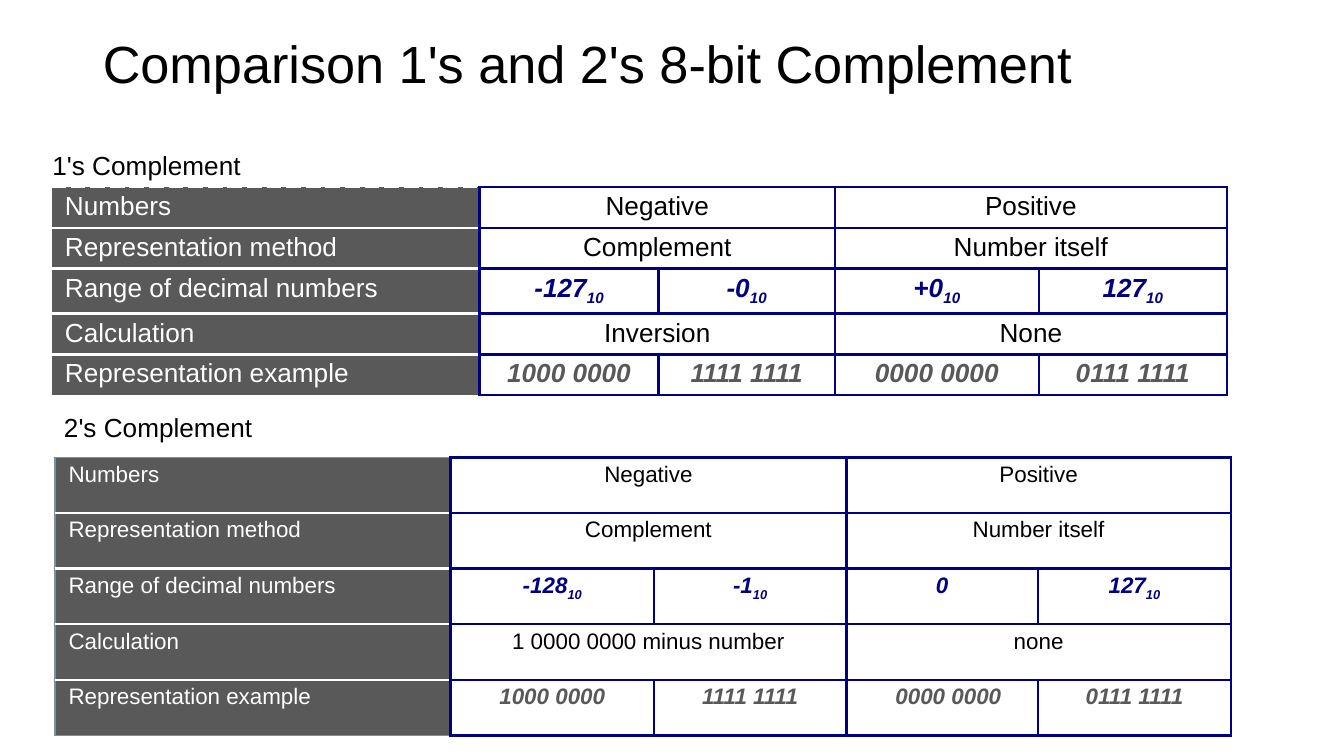
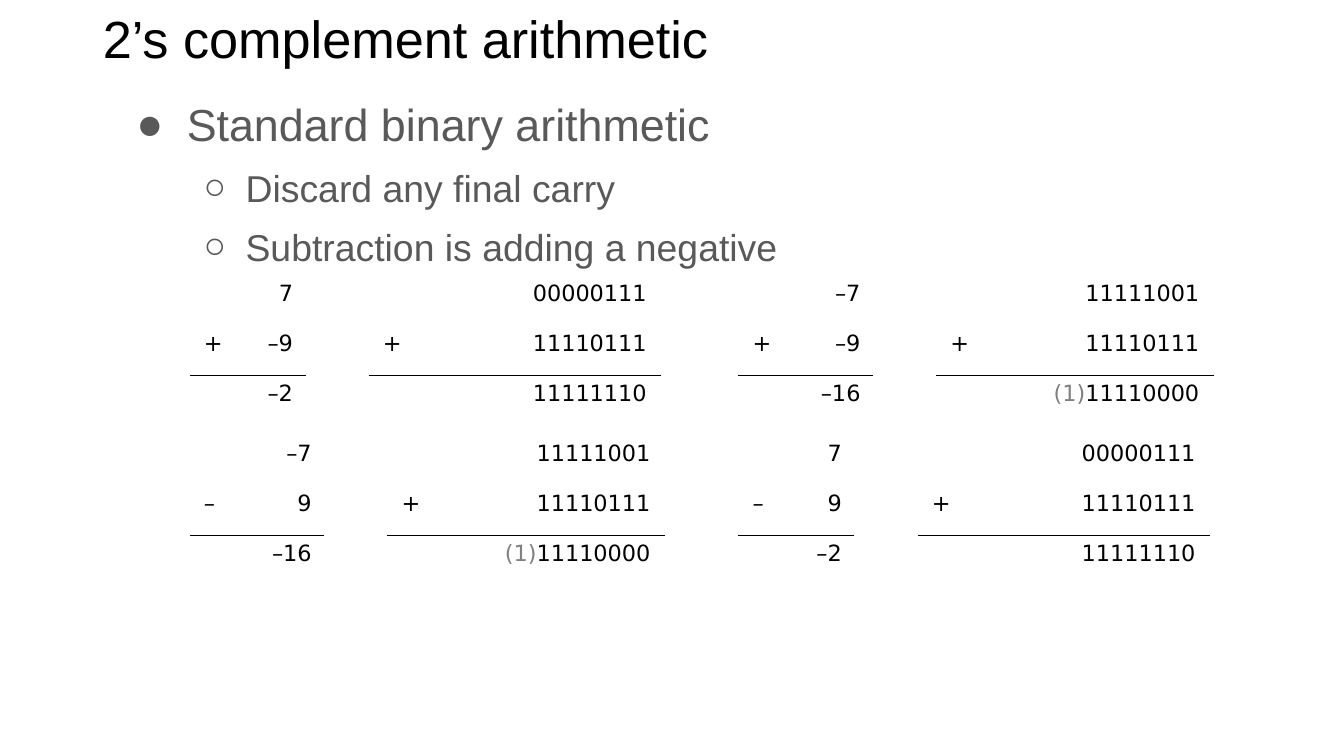
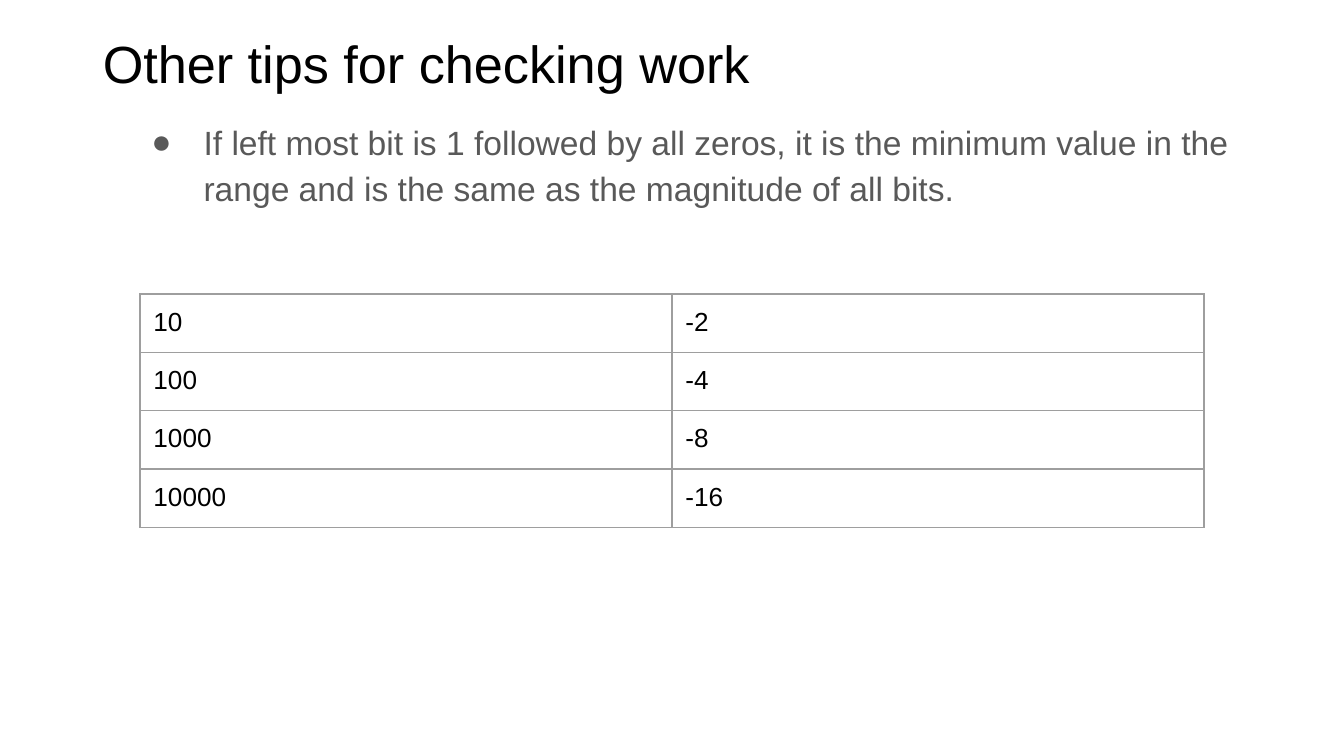
"""Builds three slides about one's and two's complement arithmetic."""
from pptx import Presentation
from pptx import util as u
from pptx.dml import color as dml
from pptx.enum import text as t
from pptx.oxml import ns
from lxml import etree

COLOURS = {
    "black": "000000", "white": "FFFFFF", "gray": "595959", "carry": "808080",
    "navy": "000080", "slate": "78909C", "rule": "9E9E9E",
}
SIDES = {"l": "lnL", "r": "lnR", "t": "lnT", "b": "lnB"}
ALIGN = {"l": t.PP_ALIGN.LEFT, "c": t.PP_ALIGN.CENTER, "r": t.PP_ALIGN.RIGHT}
ARIAL = {"name": "Arial", "colour": "black"}
MONO = {"name": "DejaVu Sans", "size": 12, "colour": "black"}
NAVY_LINE = ("navy", 1.5, "solid")
WHITE_LINE = ("white", 1.5, "solid")
GRAY_LINE = ("rule", 0.75, "solid")
RULE_LINE = ("black", 1, "solid")


def child(parent, tag, **attributes):
    """Append a DrawingML element."""
    return etree.SubElement(parent, ns.qn("a:" + tag), attributes)


def rgb(name):
    """Look up a colour by its name."""
    return dml.RGBColor.from_string(COLOURS[name])


def write_runs(paragraph, runs, base):
    """Add (text, format) runs on top of a base format."""
    for words, changes in runs:
        run = paragraph.add_run()
        run.text = words
        values = {**base, **changes}
        run.font.color.rgb = rgb(values.pop("colour"))
        values["size"] = u.Pt(values["size"])
        if values.pop("subscript", False):
            run._r.get_or_add_rPr().set("baseline", "-25000")
        for name, value in values.items():
            setattr(run.font, name, value)


def add_text_frame(slide, left, top, width, height, inset, anchor=t.MSO_ANCHOR.TOP):
    """Add a wrapping text box and return its frame."""
    shape = slide.shapes.add_textbox(u.Pt(left), u.Pt(top), u.Pt(width), u.Pt(height))
    frame = shape.text_frame
    values = {
        "word_wrap": True, "vertical_anchor": anchor,
        "margin_left": u.Pt(7.2), "margin_right": u.Pt(7.2),
        "margin_top": u.Pt(inset), "margin_bottom": u.Pt(inset),
    }
    for name, value in values.items():
        setattr(frame, name, value)
    return frame


def add_title(slide, words, top=13.5, height=40.5):
    """Add the slide title."""
    frame = add_text_frame(slide, 48, top, 648, height, 3.6, t.MSO_ANCHOR.BOTTOM)
    write_runs(frame.paragraphs[0], [(words, {})], {**ARIAL, "size": 28})


def add_caption(slide, words, left, top):
    """Add the caption above a table."""
    frame = add_text_frame(slide, left, top, 271, 31.5, 7.2)
    write_runs(frame.paragraphs[0], [(words, {})], {**ARIAL, "size": 14})


def add_bullets(slide, top, height, items):
    """Add bullets given as (text, size, indent, hanging, space before, level)."""
    frame = add_text_frame(slide, 66, top, 612, height, 3.6)
    for index, (words, size, indent, hanging, before, level) in enumerate(items):
        paragraph = frame.add_paragraph() if index else frame.paragraphs[0]
        values = {"level": level, "line_spacing": 1.15, "space_before": u.Pt(before)}
        for name, value in values.items():
            setattr(paragraph, name, value)
        properties = paragraph._p.get_or_add_pPr()
        properties.set("marL", str(u.Pt(indent)))
        properties.set("indent", str(u.Pt(-hanging)))
        child(child(properties, "buClr"), "srgbClr", val=COLOURS["gray"])
        child(properties, "buFont", typeface="Arial")
        child(properties, "buChar", char="●○"[level])
        write_runs(paragraph, [(words, {})], {**ARIAL, "size": size, "colour": "gray"})


def draw_edges(cell, edges):
    """Draw cell borders from a dict of side to (colour, width, dash)."""
    properties = cell._tc.get_or_add_tcPr()
    for side, tag in SIDES.items():
        if side in edges:
            colour, width, dash = edges[side]
            line = child(properties, tag, w=str(u.Pt(width)))
            child(child(line, "solidFill"), "srgbClr", val=COLOURS[colour])
            child(line, "prstDash", val=dash)


def fill_cell(cell, content, base, inset, blank_size):
    """Give a cell its borders, fill, margins and text."""
    draw_edges(cell, content.get("edges", {}))
    if "fill" in content:
        cell.fill.solid()
        cell.fill.fore_color.rgb = rgb(content["fill"])
    else:
        cell.fill.background()
    margins = {
        "margin_left": 7.2 + content.get("shift", 0), "margin_right": 7.2,
        "margin_top": inset, "margin_bottom": inset,
    }
    for name, value in margins.items():
        setattr(cell, name, u.Pt(value))
    paragraph = cell.text_frame.paragraphs[0]
    if content.get("runs"):
        paragraph.alignment = ALIGN[content.get("align", "l")]
        write_runs(paragraph, content["runs"], base)
    else:
        ending = child(paragraph._p, "endParaRPr", sz=str(blank_size * 100))
        child(ending, "latin", typeface="Arial")


def add_table(slide, left, top, widths, heights, rows, base, inset=2.5, blank_size=12):
    """Add a table from rows of cell dicts."""
    shape = slide.shapes.add_table(
        len(rows), len(widths), u.Pt(left), u.Pt(top), u.Pt(sum(widths)), u.Pt(sum(heights)))
    table = shape.table
    table.first_row = table.horz_banding = False
    for column, width in zip(table.columns, widths):
        column.width = u.Pt(width)
    for row, height in zip(table.rows, heights):
        row.height = u.Pt(height)
    for r, row in enumerate(rows):
        for c, content in enumerate(row):
            fill_cell(table.cell(r, c), content, base, inset, blank_size)
            if content.get("wide"):
                table.cell(r, c).merge(table.cell(r, c + 1))


def complement_rows(columns, outer, right):
    """Build the five rows of a complement table."""
    labels = ["Numbers", "Representation method", "Range of decimal numbers",
              "Calculation", "Representation example"]
    strong = {"bold": True, "italic": True}
    rows = []
    for index, (label, values) in enumerate(zip(labels, columns)):
        edges = {"l": outer, "r": NAVY_LINE,
                 "t": WHITE_LINE if index else outer,
                 "b": WHITE_LINE if index < len(labels) - 1 else outer}
        row = [{"runs": [(label, {"colour": "white"})], "fill": "gray", "edges": edges}]
        wide = len(values) == 2
        for position, value in enumerate(values):
            last = position == len(values) - 1
            edges = {**dict.fromkeys(SIDES, NAVY_LINE), "r": right if last else NAVY_LINE}
            look = {} if wide else {**strong, "colour": "gray" if index == 4 else "navy"}
            number, mark, radix = value.partition("_")
            runs = [(number, look)]
            if mark:
                runs.append((radix, {**look, "subscript": True}))
            row.append({"runs": runs, "align": "c", "edges": edges, "wide": wide})
            if wide:
                row.append({"edges": edges})
        rows.append(row)
    return rows


def sum_rows(first, operator, second):
    """Build the decimal and eight-bit binary working of one sum."""
    added = second if operator == "+" else -second
    total = (first & 255) + (added & 255)
    below, above = {"b": RULE_LINE}, {"t": RULE_LINE}

    def entry(words, edges, align="r", prefix=""):
        """Build one cell of the working."""
        runs = [(prefix, {"colour": "carry"})] if prefix else []
        return {"runs": runs + [(words, {})], "align": align, "edges": edges}

    def decimal(value):
        """Write a number with a long minus sign."""
        return str(value).replace("-", "–")

    def binary(value):
        """Write a number in eight bits."""
        return f"{value & 255:08b}"

    return [
        [{}, entry(decimal(first), {}), {}, {}, entry(binary(first), {})],
        [entry(operator, below, "l"), entry(decimal(second), below), {},
         entry("+", below, "l"), entry(binary(added), below)],
        [{"edges": above}, entry(decimal(first + added), above), {}, {"edges": above},
         entry(binary(total), above, prefix="(1)" if total > 255 else "")],
    ]


def build_comparison(slide):
    """Compare the two complements in tables."""
    add_title(slide, "Comparison 1's and 2's 8-bit Complement")
    kinds = [["Negative", "Positive"], ["Complement", "Number itself"]]
    examples = ["1000 0000", "1111 1111", "0000 0000", "0111 1111"]
    twos = complement_rows(
        kinds + [["-128_10", "-1_10", "0", "127_10"],
                 ["1 0000 0000 minus number", "none"], examples],
        ("slate", 0.75, "solid"), ("navy", 1, "solid"))
    twos[4][3]["shift"] = 6.7
    add_table(slide, 29.5, 245, [211.9, 109, 103, 102.7, 103.4], [29.8] * 5, twos,
              {**ARIAL, "size": 12})
    ones = complement_rows(
        kinds + [["-127_10", "-0_10", "+0_10", "127_10"], ["Inversion", "None"], examples],
        ("white", 0.75, "dash"), NAVY_LINE)
    add_table(slide, 27.6, 100.3, [229.4, 95.7, 94.6, 109.2, 100.8], [10.8] * 5, ones,
              {**ARIAL, "size": 14})
    add_caption(slide, "1's Complement", 21, 72.8)
    add_caption(slide, "2's Complement", 27.2, 213.2)


def build_arithmetic(slide):
    """Show four worked sums."""
    add_title(slide, "2’s complement arithmetic", 10, 30.5)
    add_bullets(slide, 44, 236, [
        ("Standard binary arithmetic", 24, 27, 27, 0, 0),
        ("Discard any final carry", 20, 58.5, 22.5, 4, 1),
        ("Subtraction is adding a negative", 20, 58.5, 22.5, 4, 1),
    ])
    narrow, wide = [27.4, 34.8, 33.8, 27.4, 128.4], [27.4, 44.8, 33.8, 27.4, 120.4]
    left, right, upper, lower = 102, 396, 148, 233.7
    sums = [
        (left, lower, wide, 37.5, (-7, "–", 9)),
        (left, upper, narrow, 20.2, (7, "+", -9)),
        (right, upper, wide, 20.2, (-7, "+", -9)),
        (right, lower, narrow, 20.2, (7, "–", 9)),
    ]
    for x, y, widths, last, working in sums:
        add_table(slide, x, y, widths, [20.2, 20.2, last], sum_rows(*working), MONO,
                  blank_size=18)


def build_tips(slide):
    """List the minimum value for each width."""
    add_title(slide, "Other tips for checking work")
    add_bullets(slide, 58.5, 315, [
        ("If left most bit is 1 followed by all zeros, it is the minimum value in the range "
         "and is the same as the magnitude of all bits.", 18, 36, 28, 3.6, 0)])
    edges = dict.fromkeys(SIDES, GRAY_LINE)
    rows = [[{"runs": [(words, {})], "edges": edges} for words in (f"{2 ** n:b}", str(-2 ** n))]
            for n in range(1, 5)]
    add_table(slide, 75, 157.5, [285, 285], [30] * 4, rows, {**ARIAL, "size": 14}, 7.2)


def main():
    """Build and save the presentation."""
    presentation = Presentation()
    presentation.slide_width, presentation.slide_height = u.Pt(720), u.Pt(405)
    for build in (build_comparison, build_arithmetic, build_tips):
        build(presentation.slides.add_slide(presentation.slide_layouts[6]))
    presentation.save("out.pptx")


main()
